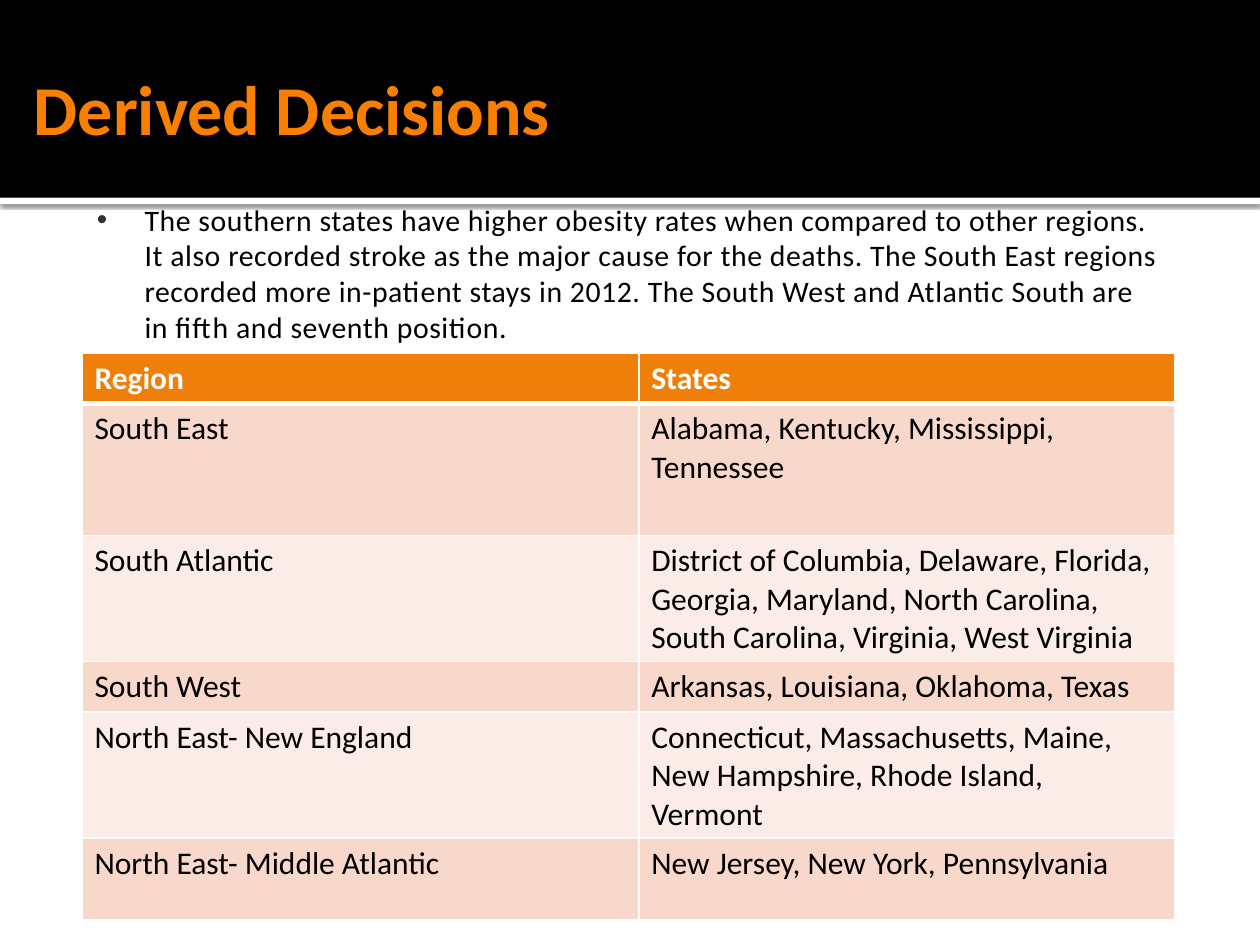
from dataclasses import dataclass

import pptx
import pptx.dml.color
import pptx.enum.shapes
import pptx.enum.text
import pptx.oxml
import pptx.oxml.ns
import pptx.util

Inches, Pt = pptx.util.Inches, pptx.util.Pt
NAMESPACE = pptx.oxml.ns.nsdecls("a")


@dataclass(frozen=True)
class Theme:
    font: str = "Calibri"
    white: str = "FFFFFF"
    black: str = "000000"
    title: str = "F97F00"
    header: str = "F07F09"
    bands: tuple = ("F9D8CC", "FCECE7")
    bullet: str = "323232"
    title_size: float = 40
    body_size: float = 17
    table_size: float = 18


@dataclass(frozen=True)
class Row:
    region: str
    states: str
    height: float


THEME = Theme()
WIDTH, HEIGHT = 10, 7.5
BANNER_HEIGHT = 1.57
COLUMN_WIDTHS = (4.42, 4.25)
ROWS = (
    Row("Region", "States", 0.36),
    Row("South East", "Alabama, Kentucky, Mississippi, Tennessee", 1.05),
    Row("South Atlantic", "District of Columbia, Delaware, Florida, Georgia, Maryland, "
        "North Carolina, South Carolina, Virginia, West Virginia", 0.89),
    Row("South West", "Arkansas, Louisiana, Oklahoma, Texas", 0.36),
    Row("North East- New England", "Connecticut, Massachusetts, Maine, New Hampshire, "
        "Rhode Island, Vermont", 0.89),
    Row("North East- Middle Atlantic", "New Jersey, New York, Pennsylvania", 0.65),
)
FINDINGS = (
    "The southern states have higher obesity rates when compared to other regions. "
    "It also recorded stroke as the major cause for the deaths. The South East regions "
    "recorded more in-patient stays in 2012. The South West and Atlantic South are "
    "in fifth and seventh position."
)


def color(value: str):
    return pptx.dml.color.RGBColor.from_string(value)


def write(frame, text: str, *, size: float, fill: str = THEME.black,
          bold: bool = False, spacing: float = 0):
    """Put formatted text in the first paragraph and return that paragraph."""
    frame.word_wrap = True
    paragraph = frame.paragraphs[0]
    run = paragraph.add_run()
    run.text = text
    run.font.name, run.font.size, run.font.bold = THEME.font, Pt(size), bold
    run.font.color.rgb = color(fill)
    if spacing:
        run.font._element.set("spc", str(round(spacing * 100)))
    return paragraph


def add_band(slide, top: float, height: float, fill: str):
    shape = slide.shapes.add_shape(
        pptx.enum.shapes.MSO_SHAPE.RECTANGLE, 0, Inches(top), Inches(WIDTH), Inches(height))
    shape.shadow.inherit = False
    shape.fill.solid()
    shape.fill.fore_color.rgb = color(fill)
    shape.line.fill.background()
    return shape


def add_text_box(slide, left: float, top: float, width: float, height: float):
    box = slide.shapes.add_textbox(Inches(left), Inches(top), Inches(width), Inches(height))
    return box.text_frame


def add_shadow(shape) -> None:
    effects = shape._element.spPr.find(pptx.oxml.ns.qn("a:effectLst"))
    effects.append(pptx.oxml.parse_xml(
        f'<a:outerShdw {NAMESPACE} blurRad="{Pt(2.5)}" dist="{Pt(0.8)}" dir="5400000" '
        f'rotWithShape="0"><a:srgbClr val="{THEME.black}"><a:alpha val="60000"/>'
        '</a:srgbClr></a:outerShdw>'))


def add_bullet(paragraph, indent: float) -> None:
    properties = paragraph._p.get_or_add_pPr()
    properties.set("marL", str(Inches(indent)))
    properties.set("indent", str(-Inches(indent)))
    for xml in (f'<a:buClr {NAMESPACE}><a:srgbClr val="{THEME.bullet}"/></a:buClr>',
                f'<a:buFont {NAMESPACE} typeface="Arial"/>',
                f'<a:buChar {NAMESPACE} char="&#8226;"/>'):
        properties.append(pptx.oxml.parse_xml(xml))


def set_borders(cell, widths: dict) -> None:
    properties = cell._tc.get_or_add_tcPr()
    for index, (side, width) in enumerate(widths.items()):
        properties.insert(index, pptx.oxml.parse_xml(
            f'<a:ln{side} {NAMESPACE} w="{Pt(width)}"><a:solidFill>'
            f'<a:srgbClr val="{THEME.white}"/></a:solidFill></a:ln{side}>'))


def add_region_table(slide, left: float, top: float) -> None:
    table = slide.shapes.add_table(
        len(ROWS), len(COLUMN_WIDTHS), Inches(left), Inches(top),
        Inches(sum(COLUMN_WIDTHS)), Inches(sum(row.height for row in ROWS))).table
    for column, width in zip(table.columns, COLUMN_WIDTHS):
        column.width = Inches(width)
    for index, row in enumerate(ROWS):
        table.rows[index].height = Inches(row.height)
        is_header = index == 0
        fill = THEME.header if is_header else THEME.bands[(index - 1) % 2]
        for cell, text in zip(table.rows[index].cells, (row.region, row.states)):
            cell.fill.solid()
            cell.fill.fore_color.rgb = color(fill)
            write(cell.text_frame, text, size=THEME.table_size, bold=is_header,
                  fill=THEME.white if is_header else THEME.black)
            set_borders(cell, {"L": 1, "R": 1, "T": 3 if index == 1 else 1,
                               "B": 3 if is_header else 1})


presentation = pptx.Presentation()
presentation.slide_width, presentation.slide_height = Inches(WIDTH), Inches(HEIGHT)
slide = presentation.slides.add_slide(presentation.slide_layouts[6])
slide.background.fill.solid()
slide.background.fill.fore_color.rgb = color(THEME.white)

# Banner with a shadowed white edge
add_shadow(add_band(slide, BANNER_HEIGHT, 0.05, THEME.white))
add_band(slide, 0, BANNER_HEIGHT, THEME.black)

# Title
title = add_text_box(slide, 0.17, 0.17, 9, 1.37)
title.vertical_anchor = pptx.enum.text.MSO_ANCHOR.MIDDLE
title.margin_right = Inches(0.05)
write(title, "Derived Decisions", size=THEME.title_size, fill=THEME.title, bold=True)

# Regions and their states
add_region_table(slide, 0.65, 2.8)

# Findings
findings = add_text_box(slide, 0.67, 1.55, 8.67, 4.7)
paragraph = write(findings, FINDINGS, size=THEME.body_size, spacing=0.3)
paragraph.space_before, paragraph.space_after = Pt(3.4), Pt(6)
add_bullet(paragraph, 0.38)

presentation.save("out.pptx")
